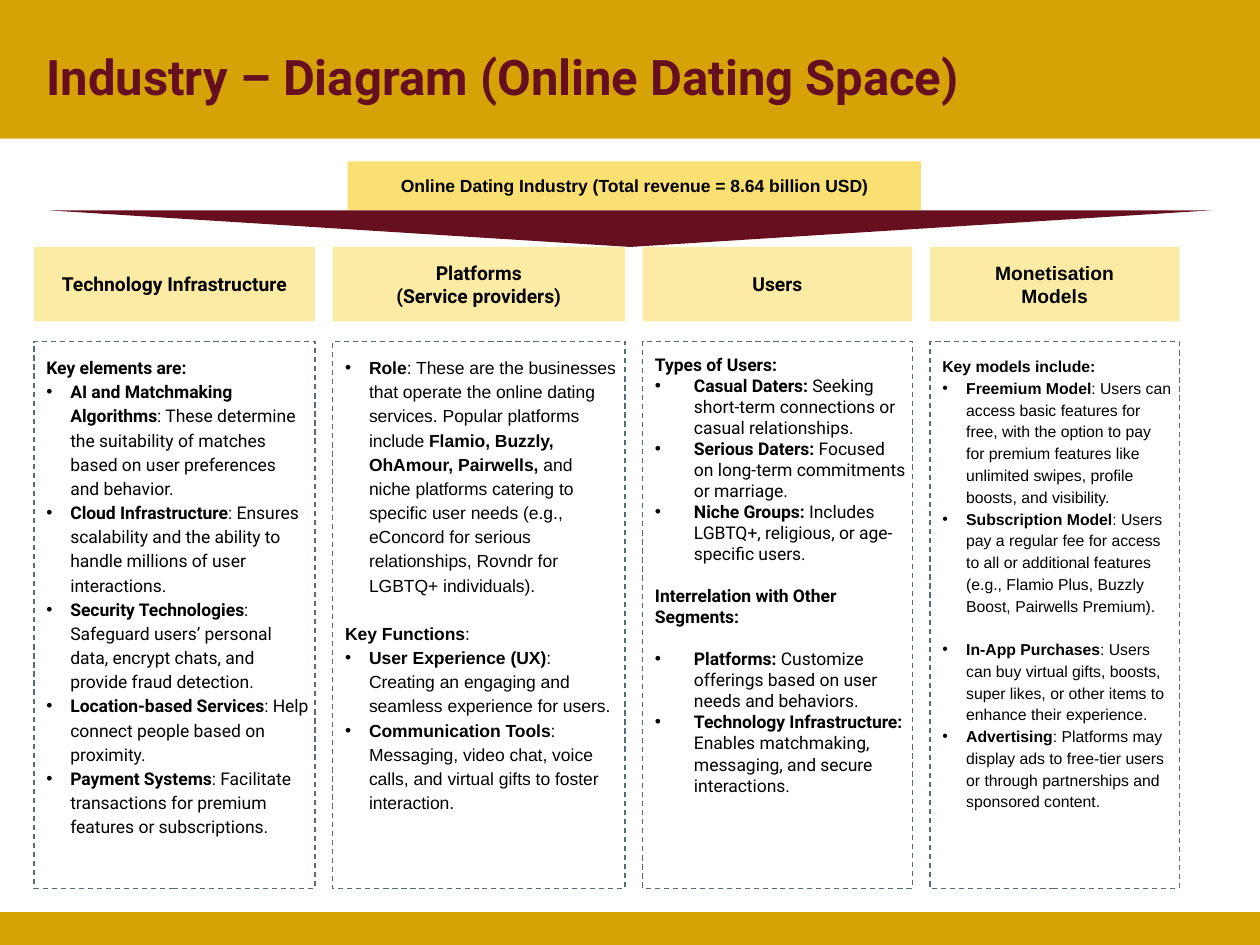
from lxml.etree import SubElement
from pptx import Presentation
from pptx.dml.color import RGBColor
from pptx.enum.dml import MSO_LINE
from pptx.enum.shapes import MSO_SHAPE
from pptx.enum.text import MSO_ANCHOR, MSO_AUTO_SIZE, PP_ALIGN
from pptx.oxml.ns import qn
from pptx.util import Inches, Pt

# Grid of 100 columns by 75 rows over a 10 x 7.5 inch slide
SLIDE_WIDTH, SLIDE_HEIGHT = Inches(10), Inches(7.5)
GRID_COLUMNS, GRID_ROWS = 100, 75
GUTTER = 1.4
HEADING_TOP, HEADING_ROWS = 19.6, 5.9
BODY_TOP, BODY_ROWS = 27.1, 43.4

GOLD, MAROON, BLACK, SLATE = "D6A206", "660F1E", "000000", "546D79"
YELLOW, PALE_YELLOW = "FADF73", "FCEBA4"

# Each paragraph: (bulleted, space before in points, [(text, bold), ...])


def lead(text, rest="", gap=0):
    return False, gap, [(text, True), (rest, False)]


def point(text, rest, *more, gap=0):
    return True, gap, [(text, True), (rest, False), *more]


SEGMENTS = [
    dict(heading="Technology Infrastructure", columns=22.3, heading_font="Roboto",
         body_font="Roboto", size=10, spacing=1.15, indent=0.19, body=[
             lead("Key elements are:"),
             point("AI and Matchmaking Algorithms", ": These determine the suitability of "
                   "matches based on user preferences and behavior."),
             point("Cloud Infrastructure", ": Ensures scalability and the ability to handle "
                   "millions of user interactions."),
             point("Security Technologies", ": Safeguard users’ personal data, encrypt "
                   "chats, and provide fraud detection."),
             point("Location-based Services", ": Help connect people based on proximity."),
             point("Payment Systems", ": Facilitate transactions for premium features or "
                   "subscriptions."),
         ]),
    dict(heading="Platforms\n(Service providers)", columns=23.2, heading_font="Roboto",
         body_font="Arial", size=10, spacing=1.15, indent=0.19, body=[
             point("Role", ": These are the businesses that operate the online dating "
                   "services. Popular platforms include ",
                   ("Flamio, Buzzly, OhAmour, Pairwells,", True),
                   (" and niche platforms catering to specific user needs (e.g., eConcord "
                    "for serious relationships, Rovndr for LGBTQ+ individuals).", False)),
             lead("Key Functions", ":", gap=13.8),
             point("User Experience (UX)", ": Creating an engaging and seamless experience "
                   "for users."),
             point("Communication Tools", ": Messaging, video chat, voice calls, and virtual "
                   "gifts to foster interaction."),
         ]),
    dict(heading="Users", columns=21.4, heading_font="Roboto",
         body_font="Roboto", size=10, spacing=1, indent=0.31, body=[
             lead("Types of Users:"),
             point("Casual Daters:", " Seeking short-term connections or casual "
                   "relationships."),
             point("Serious Daters:", " Focused on long-term commitments or marriage."),
             point("Niche Groups:", " Includes LGBTQ+, religious, or age-specific users."),
             lead("Interrelation with Other Segments:", gap=12),
             point("Platforms:", " Customize offerings based on user needs and behaviors.",
                   gap=12),
             point("Technology Infrastructure:", " Enables matchmaking, messaging, and "
                   "secure interactions."),
         ]),
    dict(heading="Monetisation\nModels", columns=19.8, heading_font="Arial",
         body_font="Arial", size=9, spacing=1.15, indent=0.19, body=[
             lead("Key models include:"),
             point("Freemium Model", ": Users can access basic features for free, with the "
                   "option to pay for premium features like unlimited swipes, profile "
                   "boosts, and visibility."),
             point("Subscription Model", ": Users pay a regular fee for access to all or "
                   "additional features (e.g., Flamio Plus, Buzzly Boost, Pairwells "
                   "Premium)."),
             point("In-App Purchases", ": Users can buy virtual gifts, boosts, super likes, "
                   "or other items to enhance their experience.", gap=12.3),
             point("Advertising", ": Platforms may display ads to free-tier users or through "
                   "partnerships and sponsored content."),
         ]),
]


def color(hex_string):
    return RGBColor.from_string(hex_string)


def place(box):
    """Turn a grid box (left, top, columns, rows) into slide lengths."""
    left, top, columns, rows = box
    return (int(SLIDE_WIDTH * left / GRID_COLUMNS), int(SLIDE_HEIGHT * top / GRID_ROWS),
            int(SLIDE_WIDTH * columns / GRID_COLUMNS), int(SLIDE_HEIGHT * rows / GRID_ROWS))


def style(font, name, size, hex_string, bold):
    font.name, font.size, font.bold = name, Pt(size), bold
    font.color.rgb = color(hex_string)


def set_insets(text_frame, left, top, right, bottom):
    text_frame.margin_left, text_frame.margin_top = Inches(left), Inches(top)
    text_frame.margin_right, text_frame.margin_bottom = Inches(right), Inches(bottom)
    text_frame.word_wrap = True


def add_block(slide, box, fill=None, preset=MSO_SHAPE.RECTANGLE):
    shape = slide.shapes.add_shape(preset, *place(box))
    shape.shadow.inherit = False
    shape.line.fill.background()
    if fill:
        shape.fill.solid()
        shape.fill.fore_color.rgb = color(fill)
    else:
        shape.fill.background()
    return shape


def add_label(slide, box, fill, text, font, size):
    shape = add_block(slide, box, fill)
    text_frame = shape.text_frame
    set_insets(text_frame, 0, 0, 0, 0)
    text_frame.vertical_anchor = MSO_ANCHOR.MIDDLE
    text_frame.text = text
    for paragraph in text_frame.paragraphs:
        paragraph.alignment = PP_ALIGN.CENTER
        style(paragraph.runs[0].font, font, size, BLACK, True)


def add_bullet(paragraph, indent):
    properties = paragraph._p.get_or_add_pPr()
    properties.set("marL", str(Inches(indent)))
    properties.set("indent", str(-Inches(indent)))
    SubElement(properties, qn("a:buFont")).set("typeface", "Arial")
    SubElement(properties, qn("a:buChar")).set("char", "•")


def add_details(slide, box, segment):
    """Dashed panel with the segment's lead lines and bullets."""
    shape = add_block(slide, box)
    shape.line.color.rgb = color(SLATE)
    shape.line.width = Pt(0.75)
    shape.line.dash_style = MSO_LINE.DASH
    text_frame = shape.text_frame
    set_insets(text_frame, 0.1, 0.1, 0.05, 0.1)
    text_frame.vertical_anchor = MSO_ANCHOR.TOP
    for index, (bulleted, gap, parts) in enumerate(segment["body"]):
        paragraph = text_frame.add_paragraph() if index else text_frame.paragraphs[0]
        paragraph.alignment = PP_ALIGN.LEFT
        paragraph.line_spacing = float(segment["spacing"])
        if gap:
            paragraph.space_before = Pt(gap)
        if bulleted:
            add_bullet(paragraph, segment["indent"])
        for text, bold in parts:
            if text:
                run = paragraph.add_run()
                run.text = text
                style(run.font, segment["body_font"], segment["size"], BLACK, bold)


def add_header(slide, box):
    add_block(slide, box, GOLD)
    title = slide.shapes.title
    title.element.getparent().append(title.element)  # bring in front of the band
    title.left, title.top, title.width, title.height = place((2.7, 2.7, 94.5, 6.6))
    text_frame = title.text_frame
    text_frame.text = "Industry – Diagram (Online Dating Space)"
    text_frame.auto_size = MSO_AUTO_SIZE.NONE
    set_insets(text_frame, 0.1, 0.05, 0.1, 0.05)
    text_frame.vertical_anchor = MSO_ANCHOR.MIDDLE
    paragraph = text_frame.paragraphs[0]
    paragraph.alignment = PP_ALIGN.LEFT
    style(paragraph.runs[0].font, "Roboto", 28, MAROON, True)


def add_industry(slide, box):
    """Industry total, with a wide arrowhead pointing at the segments."""
    add_label(slide, box, YELLOW, "Online Dating Industry (Total revenue = 8.64 billion USD)",
              "Arial", 10)
    arrow = add_block(slide, (3.9, box[1] + box[3], 92.2, 2.9), MAROON,
                      MSO_SHAPE.ISOSCELES_TRIANGLE)
    arrow.rotation = 180


def add_segments(slide, left):
    for segment in SEGMENTS:
        columns = segment["columns"]
        add_label(slide, (left, HEADING_TOP, columns, HEADING_ROWS), PALE_YELLOW,
                  segment["heading"], segment["heading_font"], 11)
        add_details(slide, (left, BODY_TOP, columns, BODY_ROWS), segment)
        left += columns + GUTTER


def main():
    presentation = Presentation()
    presentation.slide_width, presentation.slide_height = SLIDE_WIDTH, SLIDE_HEIGHT
    slide = presentation.slides.add_slide(presentation.slide_layouts[5])
    add_header(slide, (0, 0, GRID_COLUMNS, 11))
    add_industry(slide, (27.6, 12.8, 45.5, 3.9))
    add_segments(slide, 2.7)
    add_block(slide, (0, 72.4, GRID_COLUMNS, 2.6), GOLD)  # footer band
    presentation.save("out.pptx")


if __name__ == "__main__":
    main()
